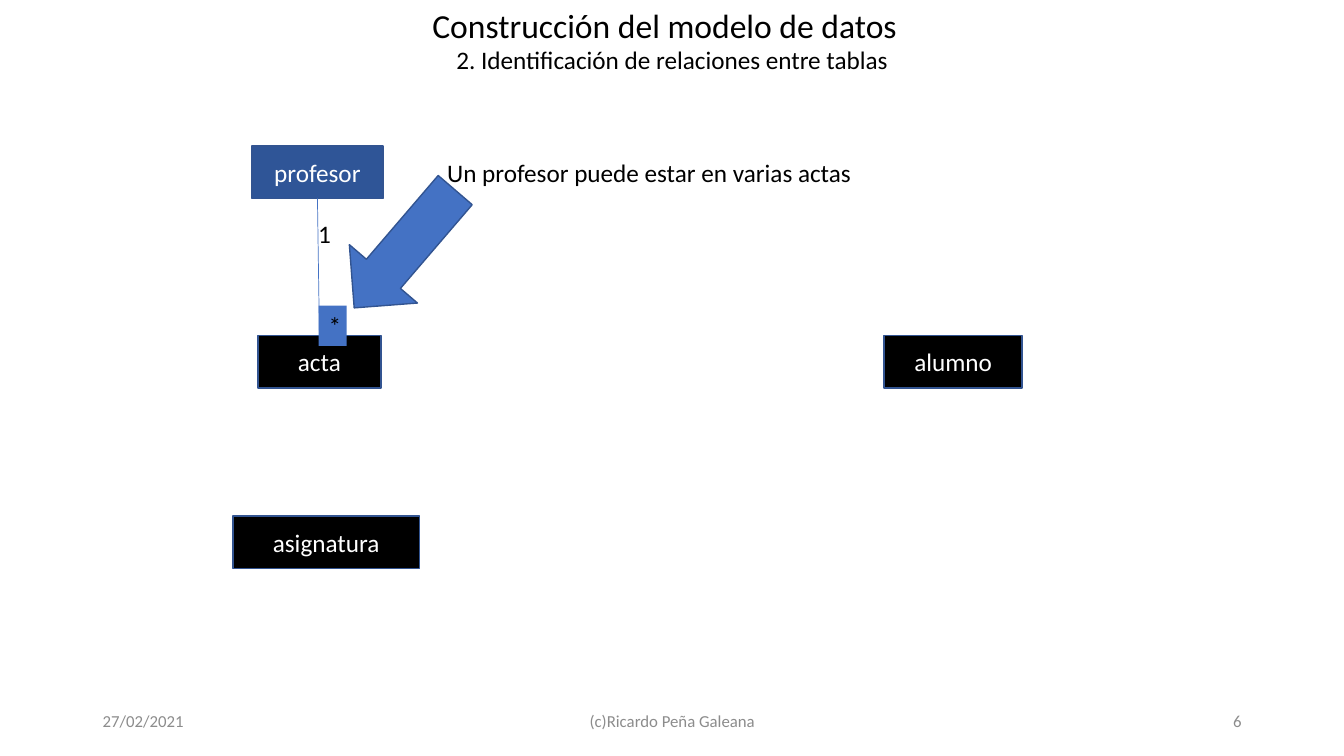
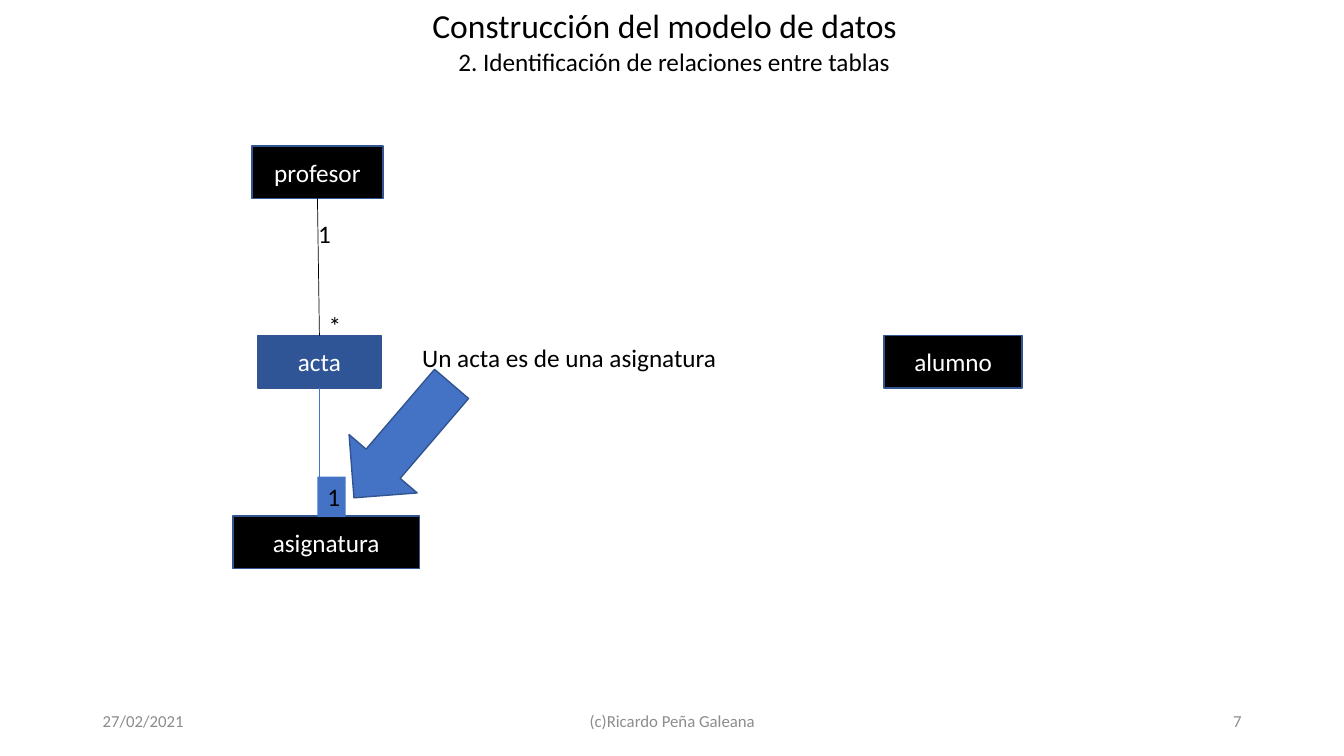
import pptx
import pptx.dml.color
import pptx.enum.shapes
import pptx.enum.text
import pptx.oxml
import pptx.oxml.ns
import pptx.util

Cm = pptx.util.Cm
Pt = pptx.util.Pt
Align = pptx.enum.text.PP_ALIGN
Anchor = pptx.enum.text.MSO_ANCHOR
Preset = pptx.enum.shapes.MSO_SHAPE

COLOURS = {
    "text": "000000",
    "table": "000000",
    "table text": "FFFFFF",
    "active": "2F5597",
    "accent": "4472C4",
    "outline": "325491",
    "footer": "8C8C8C",
}
FONT = "Calibri"
TABLES = {
    "profesor": (6.35, 3.68, 3.3, 1.32),
    "acta": (6.5, 8.46, 3.1, 1.32),
    "asignatura": (5.87, 13, 4.7, 1.32),
    "alumno": (22.28, 8.46, 3.48, 1.32),
}
TOP, BOTTOM = 0, 2


def colour(name):
    return pptx.dml.color.RGBColor.from_string(COLOURS[name])


class Deck:
    """Holds the presentation, its style and the current slide."""

    def __init__(self):
        self.presentation = pptx.Presentation()
        self.presentation.slide_width = Cm(33.87)
        self.presentation.slide_height = Cm(19.05)
        self.slide = None

    def set_text(self, shape, text, size=18, ink="text", align=Align.LEFT, anchor=Anchor.TOP):
        frame = shape.text_frame
        frame.word_wrap = True
        frame.auto_size = pptx.enum.text.MSO_AUTO_SIZE.NONE
        frame.vertical_anchor = anchor
        frame.text = text
        paragraph = frame.paragraphs[0]
        paragraph.alignment = align
        paragraph.font.name = FONT
        paragraph.font.size = Pt(size)
        paragraph.font.color.rgb = colour(ink)

    def start_slide(self, number, subtitle_at):
        self.slide = self.presentation.slides.add_slide(self.presentation.slide_layouts[5])
        title = self.slide.shapes.title
        title.left, title.top, title.width, title.height = map(Cm, (10.64, 0, 12.57, 1.27))
        self.set_text(title, "Construcción del modelo de datos", size=24)
        self.text("2. Identificación de relaciones entre tablas", (*subtitle_at, 11.81, 1.02))
        for text, left, width, align in (
            ("27/02/2021", 2.34, 7.62, Align.LEFT),
            ("(c)Ricardo Peña Galeana", 11.23, 11.43, Align.CENTER),
            (str(number), 23.92, 7.62, Align.RIGHT),
        ):
            self.text(text, (left, 17.65, width, 1.02), size=12, ink="footer",
                      align=align, anchor=Anchor.MIDDLE)

    def text(self, text, box, **style):
        self.set_text(self.slide.shapes.add_textbox(*map(Cm, box)), text, **style)

    def shape(self, preset, box, fill, outline=True):
        shape = self.slide.shapes.add_shape(preset, *map(Cm, box))
        shape.shadow.inherit = False
        shape.fill.solid()
        shape.fill.fore_color.rgb = colour(fill)
        if outline:
            shape.line.color.rgb = colour("outline")
            shape.line.width = Pt(1)
        else:
            shape.line.fill.background()
        return shape

    def tables(self, active):
        """Draw every table box, with the active one highlighted, and return them by name."""
        boxes = {}
        for name, box in TABLES.items():
            boxes[name] = self.shape(Preset.RECTANGLE, box, "active" if name == active else "table")
            self.set_text(boxes[name], name, ink="table text", align=Align.CENTER,
                          anchor=Anchor.MIDDLE)
        return boxes

    def relation(self, start, end, ink):
        line = self.slide.shapes.add_connector(
            pptx.enum.shapes.MSO_CONNECTOR.STRAIGHT, *map(Cm, (*start, *end)))
        line.line.color.rgb = colour(ink)
        line.line.width = Pt(0.5)
        properties = line._element.spPr
        properties.append(pptx.oxml.parse_xml(
            "<a:effectLst %s/>" % pptx.oxml.ns.nsdecls("a")))
        return line

    def cardinality(self, symbol, left, top, highlighted=False):
        box = (left, top, 0.71, 1.02)
        if highlighted:
            self.set_text(self.shape(Preset.RECTANGLE, box, "accent", outline=False), symbol)
        else:
            self.text(symbol, box)

    def arrow(self, box):
        self.shape(Preset.DOWN_ARROW, box, "accent").rotation = 40.6

    def teacher_relation(self, boxes, ink, highlighted):
        line = self.relation((8, 5), (8.05, 8.46), ink)
        line.begin_connect(boxes["profesor"], BOTTOM)
        line.end_connect(boxes["acta"], TOP)
        self.cardinality("1", 7.77, 5.38)
        self.cardinality("*", 8.03, 7.7, highlighted)


def main():
    deck = Deck()

    deck.start_slide(6, (11.25, 0.99))
    boxes = deck.tables(active="profesor")
    deck.teacher_relation(boxes, "accent", highlighted=True)
    deck.text("Un profesor puede estar en varias actas", (11.02, 3.84, 11.81, 1.02))
    deck.arrow((9.07, 4.32, 2.26, 3.91))

    deck.start_slide(7, (11.3, 1.04))
    boxes = deck.tables(active="acta")
    deck.teacher_relation(boxes, "text", highlighted=False)
    deck.text("Un acta es de una asignatura", (10.39, 8.51, 11.81, 1.02))
    deck.arrow((9.02, 9.22, 2.26, 3.78))
    deck.cardinality("1", 8, 12.01, highlighted=True)
    subject_line = deck.relation((8.05, 13), (8.05, 9.78), "accent")
    subject_line.end_connect(boxes["acta"], BOTTOM)

    deck.presentation.save("out.pptx")


if __name__ == "__main__":
    main()
